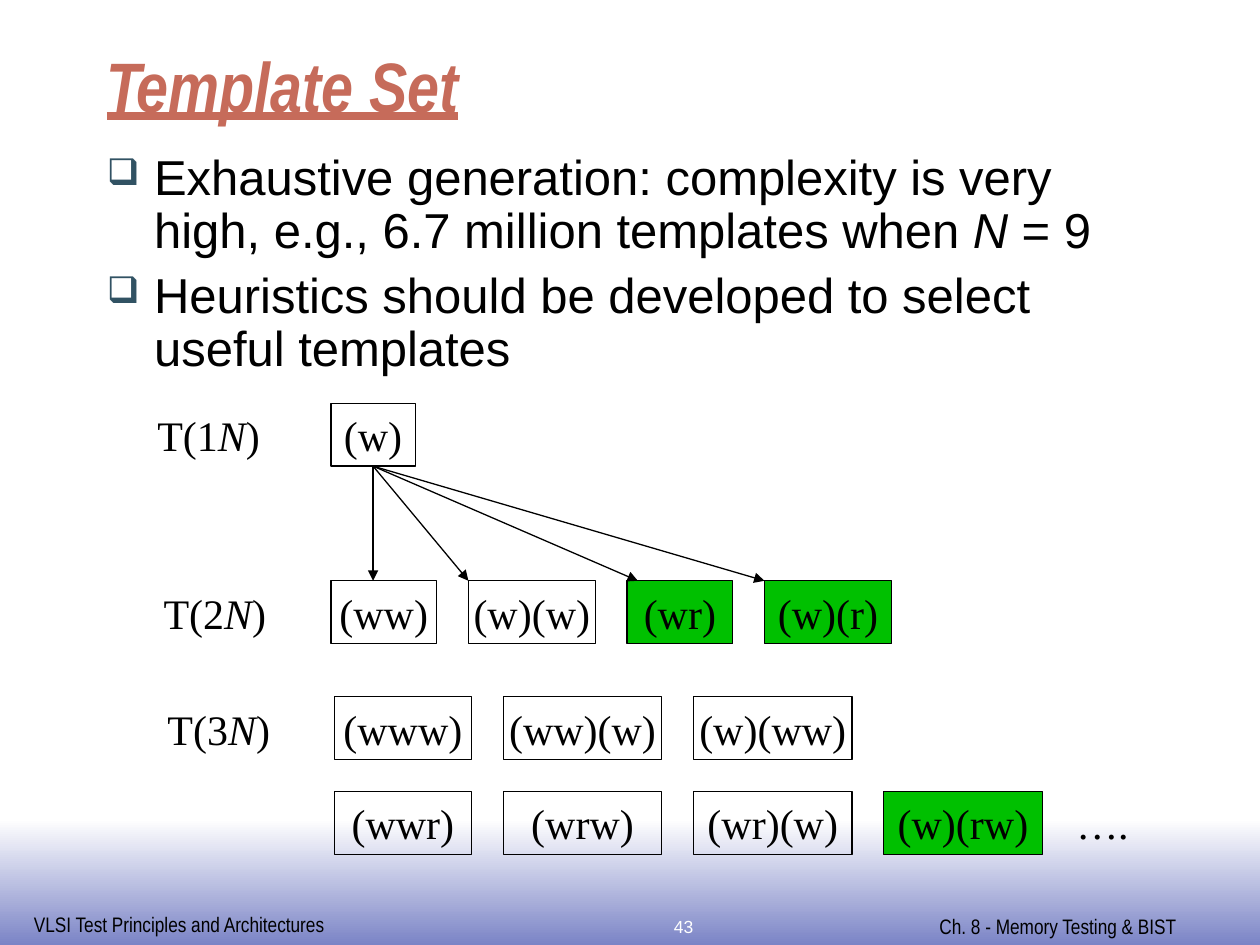
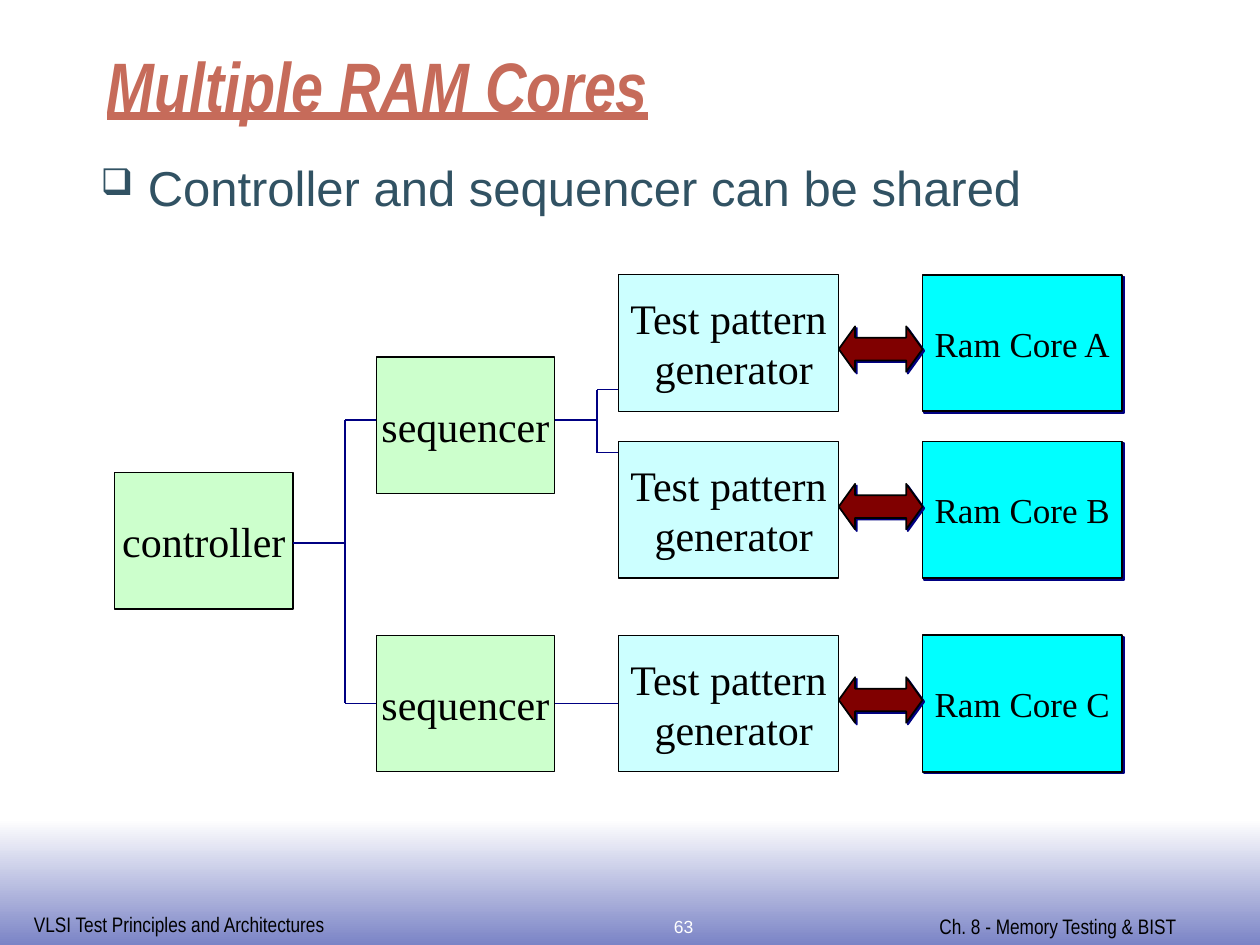
import pptx
import pptx.dml.color
import pptx.enum.shapes
import pptx.enum.text
import pptx.oxml.ns
import pptx.util
import lxml.etree
from dataclasses import dataclass

Pt = pptx.util.Pt
qn = pptx.oxml.ns.qn
SHAPES = pptx.enum.shapes.MSO_SHAPE
ALIGN = pptx.enum.text.PP_ALIGN
ANCHOR = pptx.enum.text.MSO_ANCHOR


@dataclass(frozen=True)
class Theme:
    black: str = "000000"
    white: str = "FFFFFF"
    title: str = "C66B5A"
    slate: str = "315263"
    band: str = "7B84C6"
    navy: str = "000082"
    green: str = "00C000"
    mint: str = "CCFFCC"
    ice: str = "CCFFFF"
    cyan: str = "00FFFF"
    maroon: str = "800000"
    sans: str = "Arial"
    narrow: str = "Arial Narrow"
    serif: str = "Times New Roman"
    title_size: float = 40
    body_size: float = 28
    label_size: float = 24
    core_size: float = 20
    footer_size: float = 12
    number_size: float = 10
    thin: float = 0.74
    medium: float = 0.99


THEME = Theme()

FOOTERS = [
    ("VLSI Test Principles and Architectures", 12.24, 517.5, 182),
    (" Ch. 8 - Memory Testing & BIST", 527, 518.4, 187),
]

TEMPLATE_SLIDE = {
    "title": "Template Set",
    "number": "43",
    "bullets": [
        [("Exhaustive generation: complexity is very high, e.g., 6.7 million templates when ", False),
         ("N", True), (" = 9", False)],
        [("Heuristics should be developed to select useful templates", False)],
    ],
}
LEVELS = [("1", 82.8, 230.4), ("2", 86.4, 331.9), ("3", 88.6, 398.2)]
TEMPLATE_ROWS = [
    (189.1, 230.4, [("(w)", 48.2, False)]),
    (189.1, 331.9, [("(ww)", 60.5, False), ("(w)(w)", 72.5, False),
                    ("(wr)", 60.5, True), ("(w)(r)", 72.5, True)]),
    (191, 398.2, [("(www)", 78.5, False), ("(ww)(w)", 90.6, False), ("(w)(ww)", 90.6, False)]),
    (191, 452.2, [("(wwr)", 78.5, False), ("(wrw)", 90.6, False),
                  ("(wr)(w)", 90.6, False), ("(w)(rw)", 90.6, True)]),
]
TEMPLATE_GAP, TEMPLATE_HEIGHT = 18.1, 36
ARROW_OFFSETS = [24.1, 0, 6.2, 0]

CORES_SLIDE = {
    "title": "Multiple RAM Cores",
    "number": "63",
    "bullets": [[("Controller and sequencer can be shared", False)]],
}
BLOCK_HEIGHT = 78
CONTROLLER = (65.5, 270, 102)
SEQUENCER_LEFT, SEQUENCER_WIDTH = 215, 102
SEQUENCER_TOPS = [204, 363]
GENERATOR_LEFT, GENERATOR_WIDTH = 353.3, 126
CORE_LEFT, CORE_WIDTH = 527.2, 114
CORE_ROWS = [("Ram Core A", 157, 186.5), ("Ram Core B", 252.3, 276.5), ("Ram Core C", 363, 387)]
TRUNK_X, FORK_X = 197.3, 341.3
CONTROLLER_Y, UPPER_Y, LOWER_Y = 310.4, 240, 402
FORK_YS = [222.6, 258.6]


def rgb(color):
    return pptx.dml.color.RGBColor.from_string(color)


def add_run(paragraph, text, font, size, color, italic=False, title=False):
    run = paragraph.add_run()
    run.text = text
    run.font.name = font
    run.font.size = Pt(size)
    run.font.color.rgb = rgb(color)
    run.font.italic = italic or title
    run.font.bold = title
    run.font.underline = title


def add_text(slide, place, runs, font, size, color, align=ALIGN.LEFT, title=False):
    box = slide.shapes.add_textbox(*map(Pt, place))
    frame = box.text_frame
    frame.word_wrap = True
    frame.vertical_anchor = ANCHOR.BOTTOM if title else ANCHOR.TOP
    paragraph = frame.paragraphs[0]
    paragraph.alignment = align
    for text, italic in runs:
        add_run(paragraph, text, font, size, color, italic, title)


def add_bullets(slide, place, bullets, color, spacing):
    frame = slide.shapes.add_textbox(*map(Pt, place)).text_frame
    frame.word_wrap = True
    for index, runs in enumerate(bullets):
        paragraph = frame.add_paragraph() if index else frame.paragraphs[0]
        paragraph.space_before = Pt(7)
        paragraph.line_spacing = spacing
        for text, italic in runs:
            add_run(paragraph, text, THEME.sans, THEME.body_size, color, italic)
        properties = paragraph._p.get_or_add_pPr()
        properties.set("marL", str(Pt(27)))
        properties.set("indent", str(-Pt(27)))
        bullet_color = lxml.etree.SubElement(properties, qn("a:buClr"))
        lxml.etree.SubElement(bullet_color, qn("a:srgbClr"), val=THEME.slate)
        lxml.etree.SubElement(properties, qn("a:buSzPct"), val="75000")
        lxml.etree.SubElement(properties, qn("a:buChar"), char="\u2751")


def add_block(slide, place, lines=(), fill=None, size=THEME.label_size,
              width=THEME.thin, kind=SHAPES.RECTANGLE, shadow=False):
    shape = slide.shapes.add_shape(kind, *map(Pt, place))
    shape.shadow.inherit = False
    if fill:
        shape.fill.solid()
        shape.fill.fore_color.rgb = rgb(fill)
    else:
        shape.fill.background()
    shape.line.color.rgb = rgb(THEME.black)
    shape.line.width = Pt(width)
    if shadow:
        effects = shape.element.spPr.find(qn("a:effectLst"))
        outer = lxml.etree.SubElement(effects, qn("a:outerShdw"), blurRad="0", dist=str(Pt(1.4)),
                                      dir="2700000", algn="tl", rotWithShape="0")
        lxml.etree.SubElement(outer, qn("a:srgbClr"), val=THEME.navy)
    frame = shape.text_frame
    frame.word_wrap = False
    frame.vertical_anchor = ANCHOR.MIDDLE
    for index, line in enumerate(lines):
        paragraph = frame.add_paragraph() if index else frame.paragraphs[0]
        paragraph.alignment = ALIGN.CENTER
        add_run(paragraph, line, THEME.serif, size, THEME.black)
    return shape


def add_line(slide, start, end, color, width, arrow=False):
    connector = slide.shapes.add_connector(
        pptx.enum.shapes.MSO_CONNECTOR.STRAIGHT, *map(Pt, start + end))
    connector.line.color.rgb = rgb(color)
    connector.line.width = Pt(width)
    properties = connector.element.spPr
    if arrow:
        lxml.etree.SubElement(properties.find(qn("a:ln")), qn("a:tailEnd"), type="triangle")
    lxml.etree.SubElement(properties, qn("a:effectLst"))


def add_base(presentation, content):
    slide = presentation.slides.add_slide(presentation.slide_layouts[6])
    slide.background.fill.solid()
    slide.background.fill.fore_color.rgb = rgb(THEME.white)
    band = slide.shapes.add_shape(SHAPES.RECTANGLE, *map(Pt, (0, 468, 720, 72)))
    band.shadow.inherit = False
    band.line.fill.background()
    band.fill.gradient()
    band.fill.gradient_angle = 270
    for stop, color in zip(band.fill.gradient_stops, (THEME.white, THEME.band)):
        stop.color.rgb = rgb(color)
    for text, left, top, width in FOOTERS:
        add_text(slide, (left, top, width, 21.6), [(text, False)],
                 THEME.narrow, THEME.footer_size, THEME.black)
    add_text(slide, (306.7, 519.8, 167.8, 20), [(content["number"], False)],
             THEME.sans, THEME.number_size, THEME.white, ALIGN.CENTER)
    add_text(slide, (54, 18, 612, 57.6), [(content["title"], False)],
             THEME.narrow, THEME.title_size, THEME.title, title=True)
    return slide


def build_templates(presentation):
    slide = add_base(presentation, TEMPLATE_SLIDE)
    add_bullets(slide, (54, 84.2, 612, 416), TEMPLATE_SLIDE["bullets"], THEME.black, 0.9)
    for level, left, top in LEVELS:
        add_text(slide, (left, top, 80, TEMPLATE_HEIGHT),
                 [("T(" + level, False), ("N", True), (")", False)],
                 THEME.serif, THEME.label_size, THEME.black)
    lefts = []
    for left, top, row in TEMPLATE_ROWS:
        lefts.append([])
        for text, width, chosen in row:
            add_block(slide, (left, top, width, TEMPLATE_HEIGHT), [text],
                      THEME.green if chosen else None)
            lefts[-1].append(left)
            left += width + TEMPLATE_GAP
    add_text(slide, (607.7, TEMPLATE_ROWS[-1][1], 44.6, TEMPLATE_HEIGHT), [("\u2026.", False)],
             THEME.serif, THEME.label_size, THEME.black, ALIGN.CENTER)
    root_left, root_top, root_row = TEMPLATE_ROWS[0]
    root = (root_left + root_row[0][1] / 2, root_top + TEMPLATE_HEIGHT)
    for left, offset in zip(lefts[1], ARROW_OFFSETS):
        add_line(slide, root, (left + offset, TEMPLATE_ROWS[1][1]),
                 THEME.black, THEME.thin, arrow=True)


def build_cores(presentation):
    slide = add_base(presentation, CORES_SLIDE)
    add_bullets(slide, (50.4, 86.4, 612, 51.8), CORES_SLIDE["bullets"], THEME.slate, 1.0)
    left, top, width = CONTROLLER
    add_block(slide, (left, top, width, BLOCK_HEIGHT), ["controller"], THEME.mint)
    for sequencer_top in SEQUENCER_TOPS:
        add_block(slide, (SEQUENCER_LEFT, sequencer_top, SEQUENCER_WIDTH, BLOCK_HEIGHT),
                  ["sequencer"], THEME.mint)
    generator_right = GENERATOR_LEFT + GENERATOR_WIDTH
    for core, row_top, arrow_top in CORE_ROWS:
        add_block(slide, (GENERATOR_LEFT, row_top, GENERATOR_WIDTH, BLOCK_HEIGHT),
                  ["Test pattern", " generator"], THEME.ice)
        add_block(slide, (CORE_LEFT, row_top, CORE_WIDTH, BLOCK_HEIGHT), [core], THEME.cyan,
                  THEME.core_size, THEME.medium, shadow=True)
        arrow = add_block(slide, (generator_right, arrow_top, CORE_LEFT - generator_right, 26),
                          fill=THEME.maroon, width=THEME.medium,
                          kind=SHAPES.LEFT_RIGHT_ARROW, shadow=True)
        arrow.adjustments[0] = 0.5
        arrow.adjustments[1] = 0.36
    sequencer_right = SEQUENCER_LEFT + SEQUENCER_WIDTH
    wires = [
        ((left + width, CONTROLLER_Y), (TRUNK_X, CONTROLLER_Y)),
        ((TRUNK_X, UPPER_Y), (TRUNK_X, LOWER_Y)),
        ((TRUNK_X, UPPER_Y), (SEQUENCER_LEFT, UPPER_Y)),
        ((TRUNK_X, LOWER_Y), (SEQUENCER_LEFT, LOWER_Y)),
        ((sequencer_right, LOWER_Y), (GENERATOR_LEFT, LOWER_Y)),
        ((sequencer_right, UPPER_Y), (FORK_X, UPPER_Y)),
        ((FORK_X, FORK_YS[0]), (FORK_X, FORK_YS[1])),
    ] + [((GENERATOR_LEFT, y), (FORK_X, y)) for y in FORK_YS]
    for start, end in wires:
        add_line(slide, start, end, THEME.navy, THEME.medium)


presentation = pptx.Presentation()
presentation.slide_width = Pt(720)
presentation.slide_height = Pt(540)
build_templates(presentation)
build_cores(presentation)
presentation.save("out.pptx")
